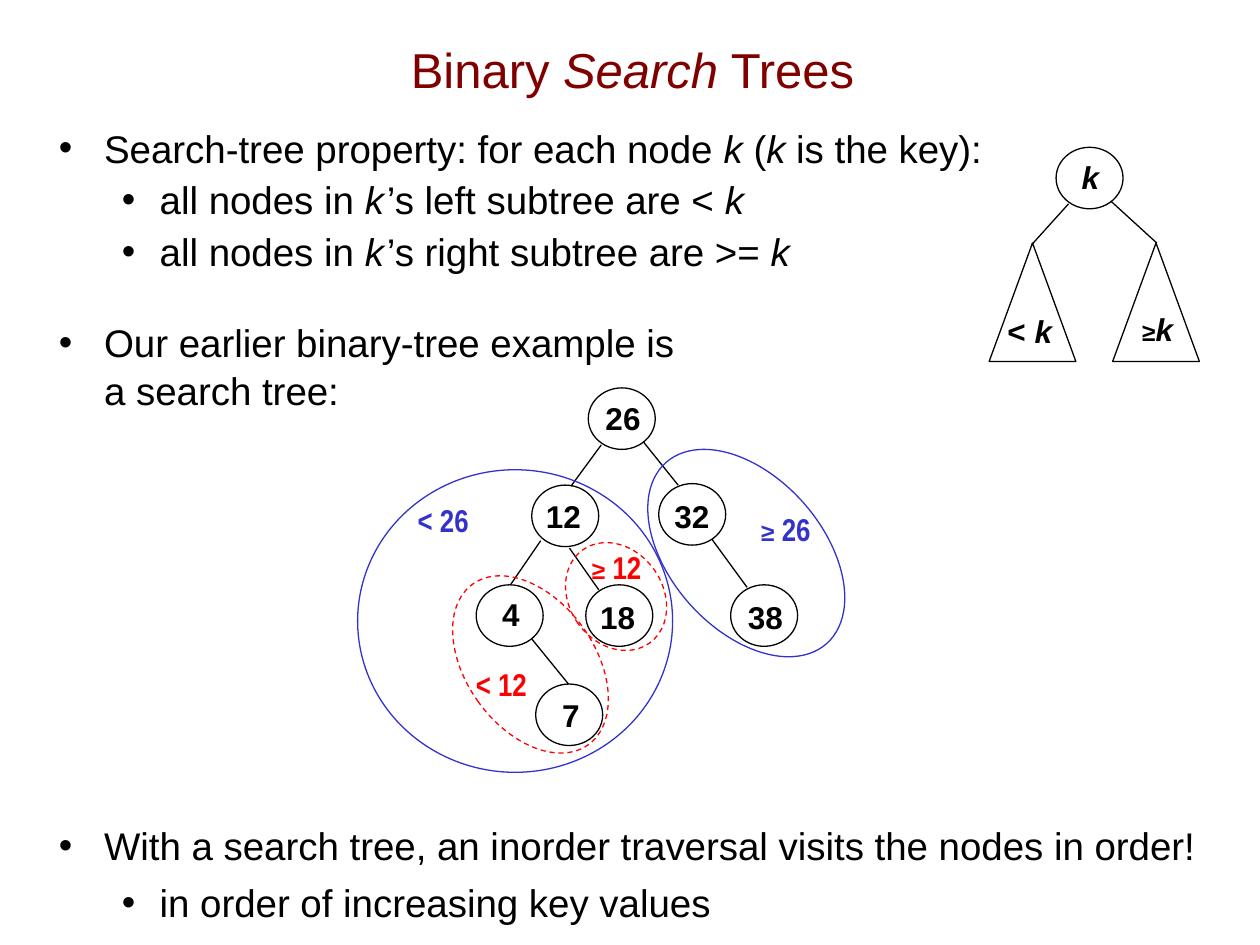
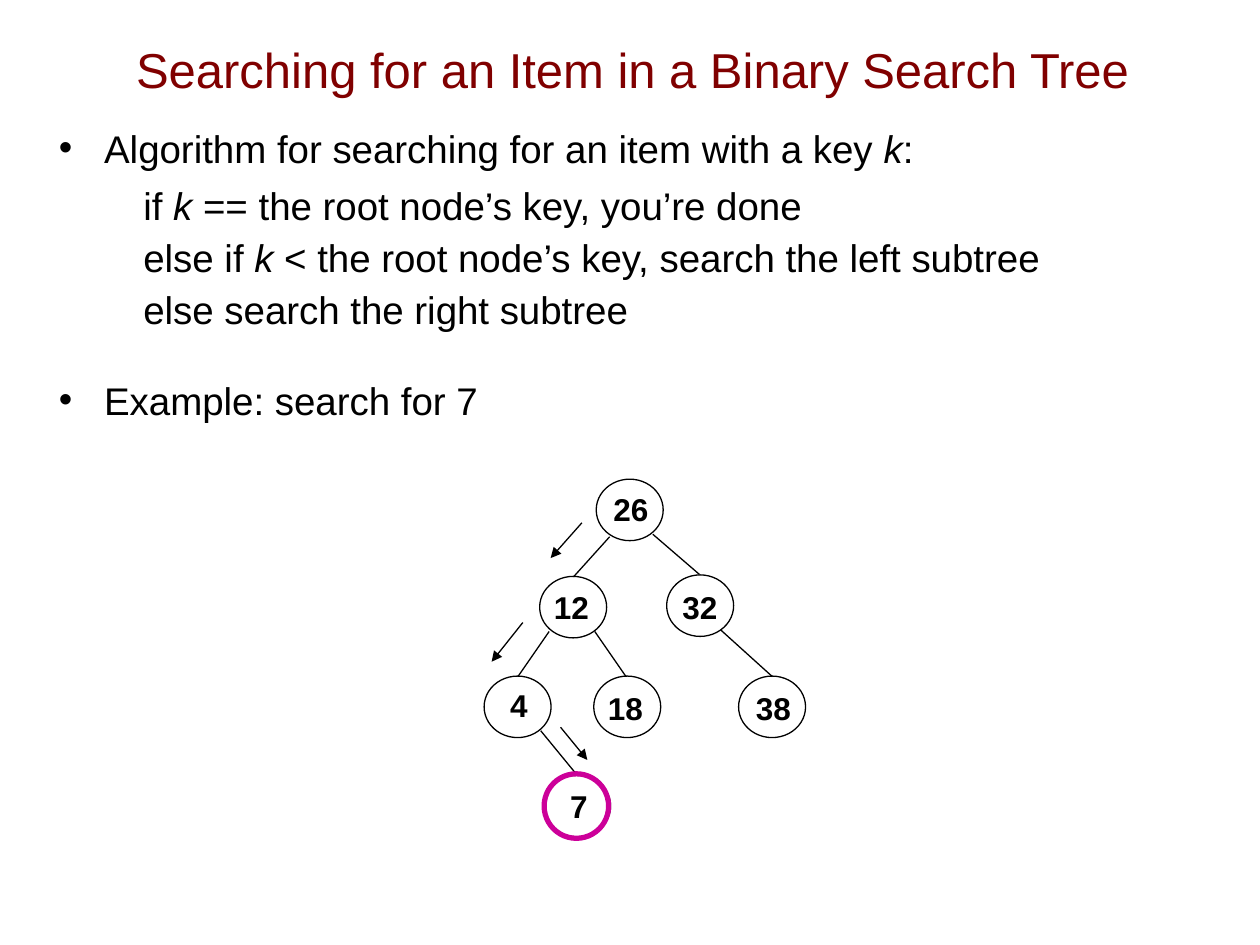
from dataclasses import dataclass
from typing import NamedTuple

from lxml.etree import SubElement
from pptx import Presentation
from pptx.dml.color import RGBColor
from pptx.enum.dml import MSO_LINE
from pptx.enum.shapes import MSO_CONNECTOR, MSO_SHAPE
from pptx.enum.text import MSO_ANCHOR, MSO_AUTO_SIZE, PP_ALIGN
from pptx.oxml.ns import qn
from pptx.util import Cm, Pt

BLACK, WHITE, MAROON = "000000", "FFFFFF", "800000"
BLUE, RED, MAGENTA = "3333CC", "FF0000", "CC0099"
SANS, NARROW = "Arial", "Arial Narrow"
NODE_SIZE = (1.35, 1.24)
LABEL_SIZE = (1.54, 1.04)
RANGE_SIZE = (1.55, 1.02)
TRIANGLE_SIZE = (1.75, 2.39)


class Span(NamedTuple):
    text: str
    italic: bool = False
    size: float | None = None
    font: str | None = None


class Indent(NamedTuple):
    left: float
    hanging: float
    level: int
    bullet: bool


class Line(NamedTuple):
    spans: list[Span]
    indent: Indent
    before: float


class Edge(NamedTuple):
    x1: float
    y1: float
    x2: float
    y2: float


@dataclass(frozen=True)
class Node:
    spans: list[Span]
    left: float
    top: float
    label_left: float
    label_top: float


@dataclass(frozen=True)
class Region:
    left: float
    top: float
    width: float
    height: float
    rotation: float
    color: str
    dashed: bool
    spans: list[Span]
    label_left: float
    label_top: float


TOP = Indent(0.91, 0.91, 0, True)
SUB = Indent(2.03, 0.76, 1, True)
CODE = Indent(1.7, 0, 1, False)
K = Span("k", True)
THIN = Span(" ", True, 6)
AT_LEAST = Span("≥", size=14, font=SANS)

PROPERTY_LINES = [
    Line([Span("Search-tree property: for each node "), Span("k ", True), Span("("), K,
          Span(" is the key):")], TOP, 0),
    Line([Span("all nodes in "), K, THIN, Span("’s left subtree are < "), K], SUB, 2),
    Line([Span("all nodes in "), K, THIN, Span("’s right subtree are >= "), K], SUB, 2),
    Line([Span("Our earlier binary-tree example is \va search tree:")], TOP, 24),
    Line([Span("With a search tree, an inorder traversal visits the nodes in order!")], TOP, 232),
    Line([Span("in order of increasing key values")], SUB, 5),
]
ALGORITHM_LINES = [
    Line([Span("Algorithm for searching for an item with a key "), K, Span(":")], TOP, 0),
    Line([Span("if "), K, Span(" == the root node’s key, you’re done")], CODE, 5.2),
    Line([Span("else if "), K, Span(" < the root node’s key, search the left subtree")], CODE, 2),
    Line([Span("else search the right subtree")], CODE, 2),
    Line([Span("Example: search for 7")], TOP, 24),
]

TREE_NODES = [
    Node([Span("26")], 11.86, 7.82, 11.79, 7.9),
    Node([Span("12")], 10.72, 9.78, 10.59, 9.88),
    Node([Span("32")], 13.28, 9.75, 13.18, 9.88),
    Node([Span("4")], 9.6, 11.79, 9.53, 11.86),
    Node([Span("18")], 11.81, 11.79, 11.68, 11.91),
    Node([Span("38")], 14.73, 11.79, 14.66, 11.91),
    Node([Span("7")], 10.8, 13.79, 10.74, 13.89),
]
SEARCH_SHIFT = (0.16, 1.84)
PROPERTY_EDGES = [
    Edge(12.12, 8.97, 11.51, 9.8),
    Edge(12.98, 8.92, 13.67, 9.78),
    Edge(10.9, 10.9, 10.29, 11.79),
    Edge(11.48, 11.05, 12.07, 11.89),
    Edge(14.35, 10.87, 15.06, 11.84),
    Edge(10.72, 12.88, 11.46, 13.79),
]
SEARCH_EDGES = [
    Edge(12.29, 10.82, 11.56, 11.63),
    Edge(13.16, 10.77, 14.1, 11.58),
    Edge(11.07, 12.73, 10.44, 13.64),
    Edge(11.99, 12.73, 12.62, 13.64),
    Edge(14.53, 12.7, 15.57, 13.64),
    Edge(10.9, 14.73, 11.63, 15.62),
]
SEARCH_ARROWS = [
    Edge(11.73, 10.54, 11.1, 11.25),
    Edge(10.54, 12.55, 9.91, 13.34),
    Edge(11.3, 14.66, 11.84, 15.32),
]
KEY_NODE = Node([K], 21.29, 2.97, 21.21, 3.05)
KEY_EDGES = [Edge(21.54, 4.11, 20.8, 4.93), Edge(22.4, 4.06, 23.32, 4.9)]
REGIONS = [
    Region(7.21, 9.47, 6.35, 6.1, 0, BLUE, False, [Span("< 26")], 8.15, 9.98),
    Region(13.51, 8.71, 3.07, 4.88, 318.4, BLUE, False, [AT_LEAST, Span(" 26")], 15.04, 10.16),
    Region(9.4, 11.4, 2.59, 3.99, 324.2, RED, True, [Span("< 12")], 9.32, 13.28),
    Region(11.48, 10.87, 1.88, 2.31, 324.2, RED, True, [AT_LEAST, Span(" 12")], 11.63, 10.92),
]


def paint(color: str) -> RGBColor:
    return RGBColor.from_string(color)


def write_spans(para, spans: list[Span], size: float, color: str, bold: bool = False,
                face: str = SANS) -> None:
    for span in spans:
        first, *rest = span.text.split("\v")
        pieces = [first]
        para.add_run().text = first
        for piece in rest:
            para.add_line_break()
            para.add_run().text = piece
            pieces.append(piece)
        for run in para.runs[-len(pieces):]:
            run.font.italic = span.italic
            run.font.size = Pt(span.size or size)
            run.font.name = span.font or face
    for font in (para.font, *(run.font for run in para.runs)):
        font.bold = bold
        font.color.rgb = paint(color)


def add_page(deck, title: list[Span], lines: list[Line]):
    page = deck.slides.add_slide(deck.slide_layouts[5])
    heading = page.shapes.title
    heading.left, heading.top, heading.width, heading.height = Cm(1.09), Cm(0.2), Cm(23.32), Cm(2.36)
    heading.text_frame.vertical_anchor = MSO_ANCHOR.MIDDLE
    heading.text_frame.auto_size = MSO_AUTO_SIZE.NONE
    para = heading.text_frame.paragraphs[0]
    para.alignment = PP_ALIGN.CENTER
    write_spans(para, title, 28, MAROON)

    body = page.shapes.add_textbox(Cm(0.94), Cm(2.34), Cm(24.46), Cm(15.6)).text_frame
    body.word_wrap = True
    for index, line in enumerate(lines):
        para = body.add_paragraph() if index else body.paragraphs[0]
        para.level = line.indent.level
        para.line_spacing = 1.05
        para.space_before = Pt(line.before)
        set_indent(para, line.indent)
        write_spans(para, line.spans, 22, BLACK)
    return page


def set_indent(para, indent: Indent) -> None:
    properties = para._p.get_or_add_pPr()
    properties.set("marL", str(int(Cm(indent.left))))
    properties.set("indent", str(-int(Cm(indent.hanging))))
    if indent.bullet:
        bullet_color = SubElement(properties, qn("a:buClr"))
        SubElement(bullet_color, qn("a:srgbClr"), val=BLACK)
        SubElement(properties, qn("a:buFont"), typeface=SANS)
        SubElement(properties, qn("a:buChar"), char="•")


def add_outline(page, kind: MSO_SHAPE, left: float, top: float, size: tuple[float, float],
                color: str = BLACK, weight: float = 0.75):
    shape = page.shapes.add_shape(kind, Cm(left), Cm(top), Cm(size[0]), Cm(size[1]))
    shape.shadow.inherit = False
    shape.fill.background()
    shape.line.color.rgb = paint(color)
    shape.line.width = Pt(weight)
    return shape


def add_label(page, spans: list[Span], left: float, top: float) -> None:
    label = add_outline(page, MSO_SHAPE.RECTANGLE, left, top, LABEL_SIZE)
    label.fill.solid()
    label.fill.fore_color.rgb = paint(WHITE)
    label.line.fill.background()
    label.text_frame.vertical_anchor = MSO_ANCHOR.MIDDLE
    para = label.text_frame.paragraphs[0]
    para.alignment = PP_ALIGN.CENTER
    write_spans(para, spans, 18, BLACK, bold=True)


def add_node(page, node: Node, shift: tuple[float, float] = (0, 0)) -> None:
    dx, dy = shift
    add_label(page, node.spans, node.label_left + dx, node.label_top + dy)
    add_outline(page, MSO_SHAPE.OVAL, node.left + dx, node.top + dy, NODE_SIZE)


def add_edge(page, edge: Edge, arrow: bool = False) -> None:
    line = page.shapes.add_connector(MSO_CONNECTOR.STRAIGHT, *(Cm(value) for value in edge))
    line.line.color.rgb = paint(BLACK)
    line.line.width = Pt(0.75)
    if arrow:
        SubElement(line.line._get_or_add_ln(), qn("a:tailEnd"), type="triangle")
    SubElement(line._element.spPr, qn("a:effectLst"))


def add_region(page, region: Region) -> None:
    oval = add_outline(page, MSO_SHAPE.OVAL, region.left, region.top,
                       (region.width, region.height), region.color)
    oval.rotation = region.rotation
    if region.dashed:
        oval.line.dash_style = MSO_LINE.DASH
    box = page.shapes.add_textbox(Cm(region.label_left), Cm(region.label_top),
                                  Cm(RANGE_SIZE[0]), Cm(RANGE_SIZE[1]))
    box.text_frame.word_wrap = False
    box.text_frame.auto_size = MSO_AUTO_SIZE.SHAPE_TO_FIT_TEXT
    para = box.text_frame.paragraphs[0]
    para.alignment = PP_ALIGN.RIGHT
    write_spans(para, region.spans, 18, region.color, bold=True, face=NARROW)


def add_tree(page, edges: list[Edge], shift: tuple[float, float] = (0, 0)) -> None:
    for node in TREE_NODES:
        add_node(page, node, shift)
    for edge in edges:
        add_edge(page, edge)


def build_property_page(deck) -> None:
    page = add_page(deck, [Span("Binary "), Span("Search", True), Span(" Trees")], PROPERTY_LINES)
    add_tree(page, PROPERTY_EDGES)
    add_node(page, KEY_NODE)
    add_label(page, [Span("< "), K], 19.99, 6.15)
    add_label(page, [Span(" "), AT_LEAST, K], 22.48, 6.12)
    for edge in KEY_EDGES:
        add_edge(page, edge)
    for left in (19.94, 22.43):
        add_outline(page, MSO_SHAPE.ISOSCELES_TRIANGLE, left, 4.9, TRIANGLE_SIZE)
    for region in REGIONS:
        add_region(page, region)


def build_search_page(deck) -> None:
    page = add_page(deck, [Span("Searching for an Item in a Binary Search Tree")], ALGORITHM_LINES)
    add_tree(page, SEARCH_EDGES, SEARCH_SHIFT)
    for arrow in SEARCH_ARROWS:
        add_edge(page, arrow, arrow=True)
    add_outline(page, MSO_SHAPE.OVAL, 10.97, 15.6, (1.3, 1.3), MAGENTA, 3)


def main() -> None:
    deck = Presentation()
    deck.slide_width, deck.slide_height = Cm(25.4), Cm(19.05)
    build_property_page(deck)
    build_search_page(deck)
    deck.save("out.pptx")


if __name__ == "__main__":
    main()
